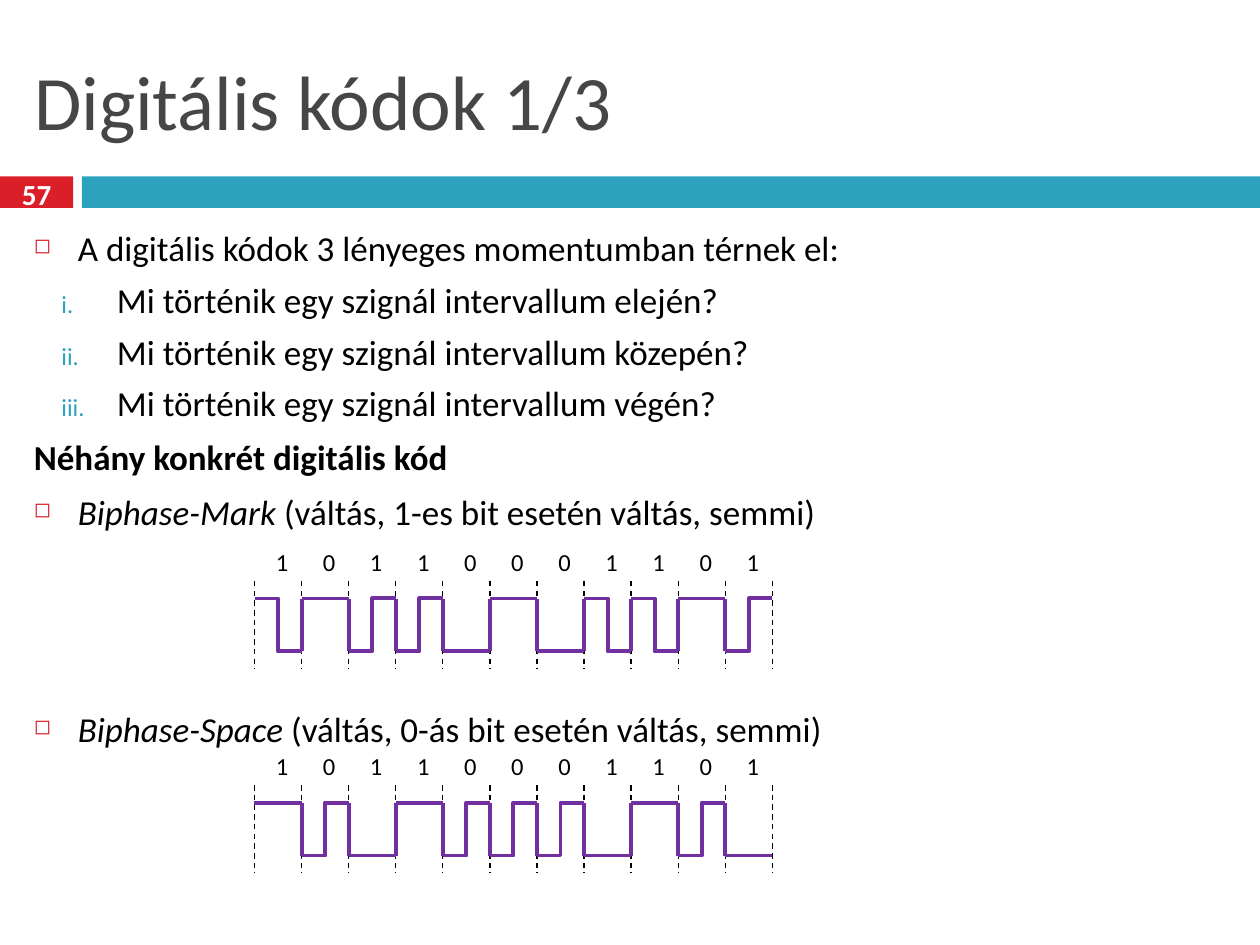
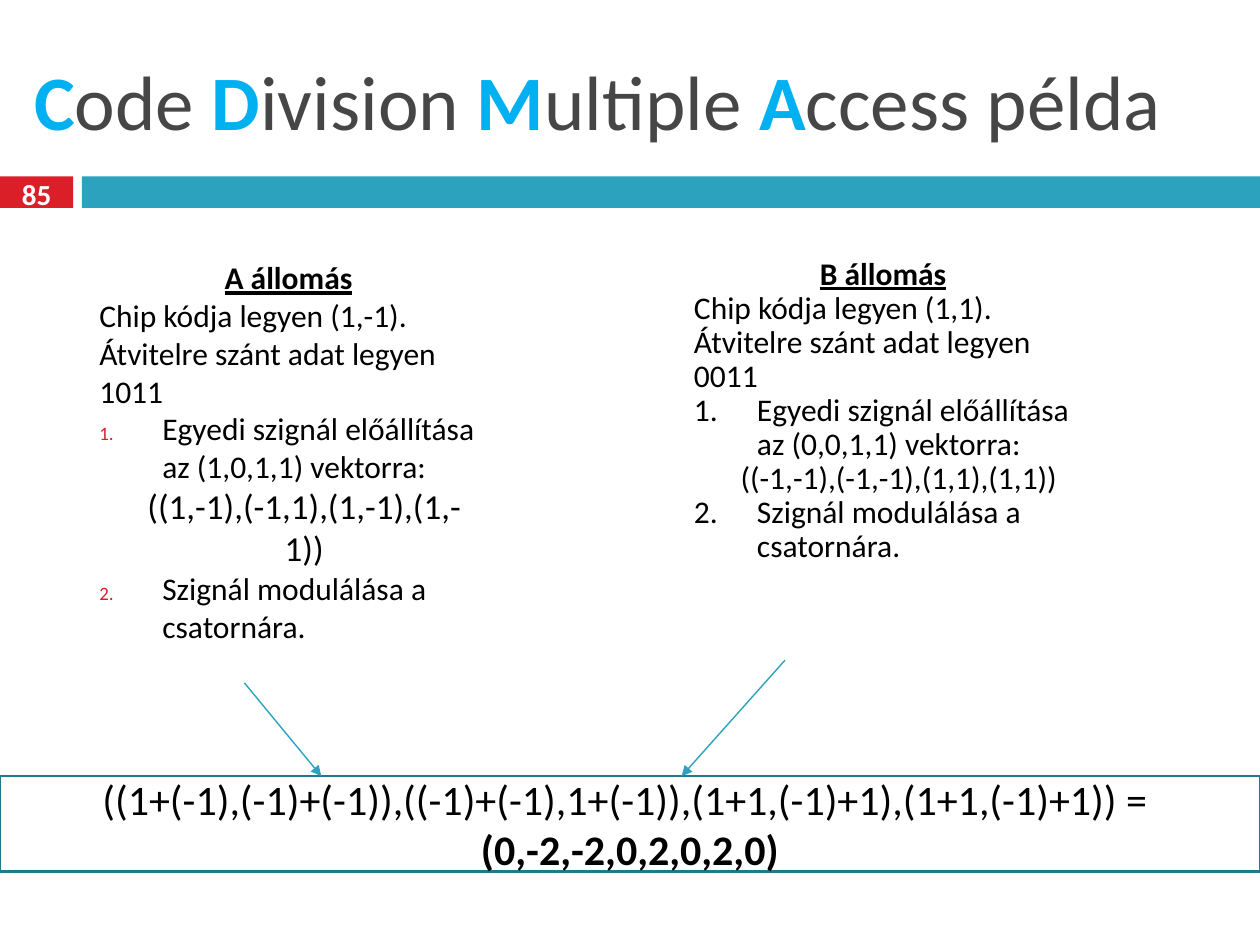
from lxml import etree
from pptx import Presentation
from pptx.dml.color import RGBColor
from pptx.enum.dml import MSO_LINE
from pptx.enum.shapes import MSO_CONNECTOR, MSO_SHAPE
from pptx.enum.text import MSO_ANCHOR, MSO_AUTO_SIZE, PP_ALIGN
from pptx.oxml.ns import qn
from pptx.util import Inches, Pt

FONT = "Calibri"
COLORS = {
    "title": "464646",
    "initial": "00B0F0",
    "red": "DA1F28",
    "teal": "2DA2BF",
    "border": "21788D",
    "signal": "7030A0",
    "text": "000000",
    "white": "FFFFFF",
}
STRAIGHT = MSO_CONNECTOR.STRAIGHT
ELBOW = MSO_CONNECTOR.ELBOW
RECTANGLE = MSO_SHAPE.RECTANGLE
DASH = MSO_LINE.DASH
LEFT = PP_ALIGN.LEFT
CENTER = PP_ALIGN.CENTER
TOP = MSO_ANCHOR.TOP
MIDDLE = MSO_ANCHOR.MIDDLE
TITLE_ONLY = 5

BITS = "10110001101"
SIGNAL_LEFT = 2.02
BIT_WIDTH = 4.11 / len(BITS)
SIGNAL_HEIGHT = 0.42


def rgb(name):
    return RGBColor.from_string(COLORS[name])


def box(left, top, width, height):
    return [Inches(value) for value in (left, top, width, height)]


def add_child(parent, tag, **attributes):
    child = etree.SubElement(parent, qn(tag))
    for key, value in attributes.items():
        child.set(key, str(value))
    return child


def add_run(paragraph, text, size, color="text", bold=False, italic=False, underline=False):
    run = paragraph.add_run()
    run.text = text
    font = run.font
    font.name, font.size = FONT, Pt(size)
    font.bold, font.italic, font.underline = bold, italic, underline
    font.color.rgb = rgb(color)


def next_paragraph(frame, align=LEFT, before=0, spacing=None, level=0):
    first = frame.paragraphs[0]
    fresh = len(frame.paragraphs) == 1 and not first.runs
    paragraph = first if fresh else frame.add_paragraph()
    paragraph.alignment = align
    paragraph.level = level
    if not fresh:
        paragraph.space_before = Pt(before)
    if spacing:
        paragraph.line_spacing = spacing
    return paragraph


def set_indent(paragraph, left, first_line=0):
    properties = paragraph._p.get_or_add_pPr()
    properties.set("marL", str(Inches(left)))
    properties.set("indent", str(Inches(first_line)))
    return properties


def set_bullet(paragraph, left, hang, color, percent, number=None):
    properties = set_indent(paragraph, left, -hang)
    add_child(add_child(properties, "a:buClr"), "a:srgbClr", val=COLORS[color])
    add_child(properties, "a:buSzPct", val=percent * 1000)
    if number:
        add_child(properties, "a:buFont", typeface=FONT)
        add_child(properties, "a:buAutoNum", type=number)
    else:
        add_child(properties, "a:buChar", char="◻")


def add_text_area(slide, left, top, width, height, anchor=TOP):
    frame = slide.shapes.add_textbox(*box(left, top, width, height)).text_frame
    frame.word_wrap = True
    frame.vertical_anchor = anchor
    return frame


def add_rectangle(slide, bounds, fill=None, border=None):
    rectangle = slide.shapes.add_shape(RECTANGLE, *box(*bounds))
    rectangle.shadow.inherit = False
    if fill:
        rectangle.fill.solid()
        rectangle.fill.fore_color.rgb = rgb(fill)
    else:
        rectangle.fill.background()
    if border:
        rectangle.line.color.rgb = rgb(border)
        rectangle.line.width = Pt(1.5)
    else:
        rectangle.line.fill.background()
    return rectangle


def add_line(slide, start, end, color, width, kind=STRAIGHT, dash=None, arrow=False):
    connector = slide.shapes.add_connector(kind, *box(*start, *end))
    connector.line.color.rgb = rgb(color)
    connector.line.width = Pt(width)
    if dash:
        connector.line.dash_style = dash
    if arrow:
        add_child(connector.line._get_or_add_ln(), "a:tailEnd", type="triangle")
    add_child(connector._element.spPr, "a:effectLst")


def add_base_slide(deck, title_runs, number):
    slide = deck.slides.add_slide(deck.slide_layouts[TITLE_ONLY])
    add_rectangle(slide, (0, 1.4, 0.58, 0.25), "red")
    add_rectangle(slide, (0.65, 1.4, 9.35, 0.25), "teal")
    title = slide.shapes.title
    title.left, title.top, title.width, title.height = box(0.17, 0.25, 9.67, 1.08)
    title.text_frame.vertical_anchor = MIDDLE
    title.text_frame.auto_size = MSO_AUTO_SIZE.NONE
    heading = next_paragraph(title.text_frame)
    for text, is_initial in title_runs:
        add_run(heading, text, 44, "initial" if is_initial else "title", bold=is_initial)
    page = add_text_area(slide, 0, 1.37, 0.58, 0.33, MIDDLE)
    add_run(next_paragraph(page, CENTER), number, 16.6, "white", bold=True)
    return slide


def add_bit_labels(slide, top):
    frame = add_text_area(slide, 2.01, top, 4.48, 0.34)
    labels = next_paragraph(frame)
    tabs = add_child(labels._p.get_or_add_pPr(), "a:tabLst")
    for index in range(len(BITS)):
        position = Inches(0.13 + index * BIT_WIDTH)
        add_child(tabs, "a:tab", pos=position, algn="ctr")
    add_run(labels, "".join("\t" + bit for bit in BITS), 14)


def add_biphase_diagram(slide, top, switching_bit):
    edges = [SIGNAL_LEFT + index * BIT_WIDTH for index in range(len(BITS) + 1)]
    for edge in edges:
        add_line(slide, (edge, top + 0.32), (edge, top + 1.02), "text", 0.79, dash=DASH)
    high = top + 0.46
    low = high + SIGNAL_HEIGHT
    level = high
    for index, bit in enumerate(BITS):
        start, end = edges[index], edges[index + 1]
        if index:
            add_line(slide, (start, high), (start, low), "signal", 2.25)
            level = high + low - level
        switches = bit == switching_bit
        final = high + low - level if switches else level
        add_line(slide, (start, level), (end, final), "signal", 2.25,
                 ELBOW if switches else STRAIGHT)
        level = final
    add_bit_labels(slide, top)


def add_code_item(frame, code, rule, before):
    item = next_paragraph(frame, before=before)
    set_bullet(item, 0.35, 0.35, "red", 60)
    add_run(item, code, 20, italic=True)
    add_run(item, rule, 20)


def build_digital_codes(deck):
    slide = add_base_slide(deck, [("Digitális kódok 1/3", False)], "57")
    body = add_text_area(slide, 0.17, 1.75, 9.67, 5.58)
    intro = next_paragraph(body)
    set_bullet(intro, 0.35, 0.35, "red", 60)
    add_run(intro, "A digitális kódok 3 lényeges momentumban térnek el:", 20)
    for moment in ("elején", "közepén", "végén"):
        question = next_paragraph(body, before=5.5, level=1)
        set_bullet(question, 0.66, 0.44, "teal", 70, "romanLcPeriod")
        add_run(question, f"Mi történik egy szignál intervallum {moment}?", 20)
    add_run(next_paragraph(body, before=7), "Néhány konkrét digitális kód", 20, bold=True)
    add_code_item(body, "Biphase-Mark", " (váltás, 1-es bit esetén váltás, semmi)", 7)
    add_code_item(body, "Biphase-Space", " (váltás, 0-ás bit esetén váltás, semmi)", 100)
    add_biphase_diagram(slide, 4.29, "1")
    add_biphase_diagram(slide, 5.91, "0")


def add_station(slide, left, name, chip, bits, vector, signal, signal_size,
                number_color, number_percent, spacing=None):
    frame = add_text_area(slide, left, 2, 3.2, 2.23)
    add_run(next_paragraph(frame, CENTER, spacing=spacing), f"{name} állomás", 18,
            bold=True, underline=True)
    for fact in (f"Chip kódja legyen {chip}.", f"Átvitelre szánt adat legyen {bits}"):
        add_run(next_paragraph(frame, spacing=spacing), fact, 18)

    def add_step(text):
        step = next_paragraph(frame, spacing=spacing)
        set_bullet(step, 0.5, 0.5, number_color, number_percent, "arabicPeriod")
        add_run(step, text, 18)

    add_step(f"Egyedi szignál előállítása az {vector} vektorra:")
    result = next_paragraph(frame, CENTER, spacing=spacing, level=1)
    set_indent(result, 0.25)
    add_run(result, signal, signal_size)
    add_step("Szignál modulálása a csatornára.")


def add_channel_sum(slide):
    channel = add_rectangle(slide, (0, 6.16, 10, 0.76), border="border")
    channel.text_frame.word_wrap = True
    channel.text_frame.vertical_anchor = MIDDLE
    total = next_paragraph(channel.text_frame, CENTER)
    add_run(total, "((1+(-1),(-1)+(-1)),((-1)+(-1),1+(-1)),(1+1,(-1)+1),(1+1,(-1)+1)) = ", 24)
    total.add_line_break()
    add_run(total, "(0,-2,-2,0,2,0,2,0)", 24, bold=True)


def build_cdma_example(deck):
    title = [("C", True), ("ode ", False), ("D", True), ("ivision ", False),
             ("M", True), ("ultiple ", False), ("A", True), ("ccess példa", False)]
    slide = add_base_slide(deck, title, "85")
    add_station(slide, 0.69, "A", "(1,-1)", "1011", "(1,0,1,1)",
                "((1,-1),(-1,1),(1,-1),(1,-1))", 20, "red", 60)
    add_station(slide, 5.41, "B", "(1,1)", "0011", "(0,0,1,1)",
                "((-1,-1),(-1,-1),(1,1),(1,1))", 18, "text", 100, spacing=0.9)
    add_channel_sum(slide)
    for start, end in (((1.94, 5.42), (2.55, 6.16)), ((6.23, 5.24), (5.41, 6.16))):
        add_line(slide, start, end, "teal", 0.79, arrow=True)


def main():
    deck = Presentation()
    deck.slide_width, deck.slide_height = Inches(10), Inches(7.5)
    build_digital_codes(deck)
    build_cdma_example(deck)
    deck.save("out.pptx")


if __name__ == "__main__":
    main()
